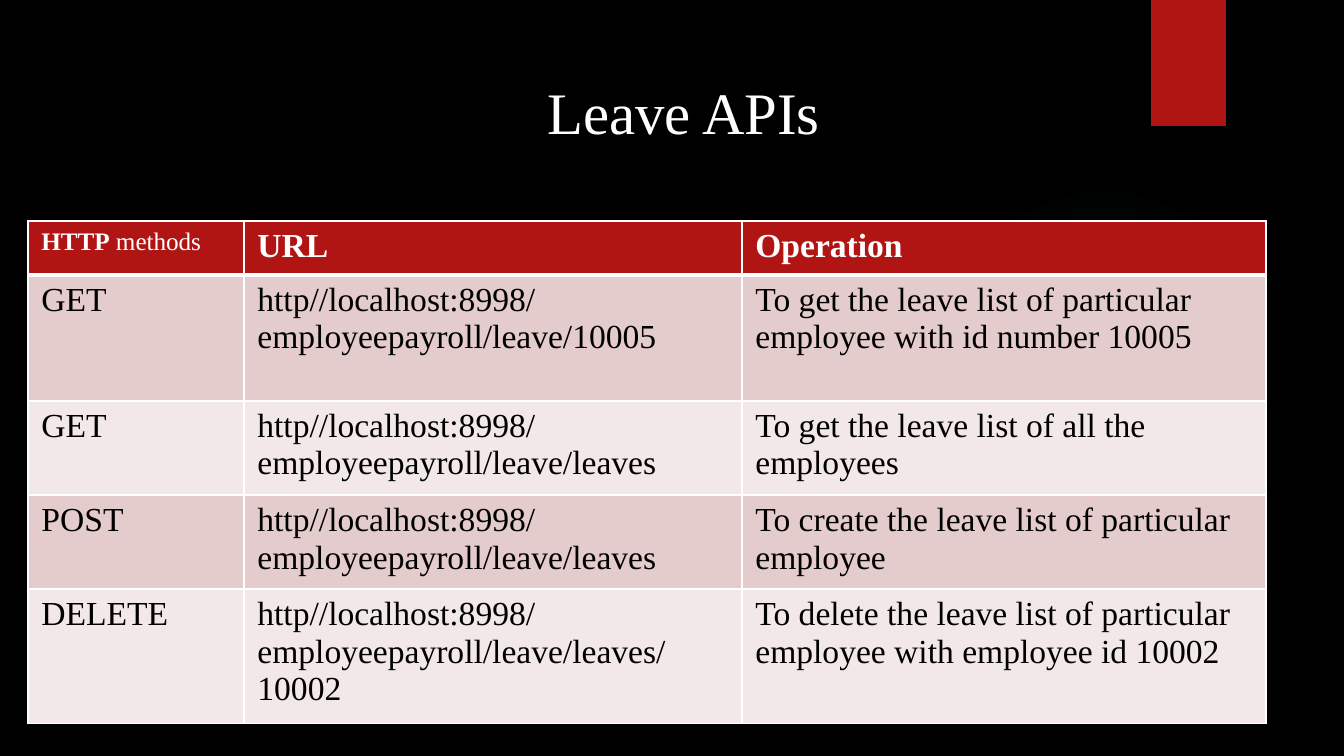
from dataclasses import dataclass

import pptx
import pptx.dml.color
import pptx.enum.shapes
import pptx.enum.text
import pptx.oxml
import pptx.oxml.ns
import pptx.util

EMU_PER_PX = 914400 / 134.4
NAMESPACE = pptx.oxml.ns.nsdecls("a")


@dataclass(frozen=True)
class Theme:
    font: str = "Times New Roman"
    background: str = "000000"
    accent: str = "B01513"
    glow: str = "50B9C1"
    light: str = "FFFFFF"
    dark: str = "000000"
    bands: tuple = ("E4CCCC", "F2E8E7")
    title_size: float = 31.5
    body_size: float = 18
    small_size: float = 13.5
    border: int = 1
    header_border: int = 3


def px(length):
    return pptx.util.Emu(round(length * EMU_PER_PX))


def rgb(value):
    return pptx.dml.color.RGBColor.from_string(value)


class SlideBuilder:
    def __init__(self, slide, theme):
        self.slide = slide
        self.theme = theme

    def background(self):
        fill = self.slide.background.fill
        fill.solid()
        fill.fore_color.rgb = rgb(self.theme.background)

    def style_run(self, run, size, color, bold=False):
        run.font.name = self.theme.font
        run.font.size = pptx.util.Pt(size)
        run.font.color.rgb = rgb(color)
        run.font.bold = bold

    def preset(self, kind, left, top, width, height):
        shape = self.slide.shapes.add_shape(kind, px(left), px(top), px(width), px(height))
        shape.shadow.inherit = False
        shape.line.fill.background()
        return shape

    def rectangle(self, *box):
        shape = self.preset(pptx.enum.shapes.MSO_SHAPE.RECTANGLE, *box)
        shape.fill.solid()
        shape.fill.fore_color.rgb = rgb(self.theme.accent)

    def glow(self, *box):
        """Add a faint circle that fades out from its centre."""
        shape = self.preset(pptx.enum.shapes.MSO_SHAPE.OVAL, *box)
        stops = "".join(
            f'<a:gs pos="{position * 1000}"><a:srgbClr val="{self.theme.glow}">'
            f'<a:alpha val="{alpha * 1000}"/></a:srgbClr></a:gs>'
            for position, alpha in ((0, 7), (36, 6), (69, 0), (100, 0))
        )
        gradient = pptx.oxml.parse_xml(
            f'<a:gradFill {NAMESPACE}><a:gsLst>{stops}</a:gsLst><a:path path="circle">'
            '<a:fillToRect l="50000" t="50000" r="50000" b="50000"/></a:path></a:gradFill>'
        )
        shape.element.spPr.find(pptx.oxml.ns.qn("a:prstGeom")).addnext(gradient)

    def title(self, text, left, top, width, height):
        shape = self.slide.shapes.add_textbox(px(left), px(top), px(width), px(height))
        text_frame = shape.text_frame
        text_frame.word_wrap = True
        text_frame.margin_top = text_frame.margin_bottom = 0
        text_frame.vertical_anchor = pptx.enum.text.MSO_ANCHOR.BOTTOM
        text_frame.text = text
        paragraph = text_frame.paragraphs[0]
        paragraph.alignment = pptx.enum.text.PP_ALIGN.CENTER
        self.style_run(paragraph.runs[0], self.theme.title_size, self.theme.light)

    def cell_borders(self, cell, top, bottom):
        properties = cell._tc.get_or_add_tcPr()
        side = self.theme.border
        for tag, points in (("lnL", side), ("lnR", side), ("lnT", top), ("lnB", bottom)):
            properties.append(pptx.oxml.parse_xml(
                f'<a:{tag} {NAMESPACE} w="{pptx.util.Pt(points)}"><a:solidFill>'
                f'<a:srgbClr val="{self.theme.light}"/></a:solidFill></a:{tag}>'
            ))

    def table(self, rows, left, top, widths, heights):
        theme = self.theme
        table = self.slide.shapes.add_table(
            len(rows), len(widths), px(left), px(top), px(sum(widths)), px(sum(heights))
        ).table
        for column, width in zip(table.columns, widths):
            column.width = px(width)
        for row, height in zip(table.rows, heights):
            row.height = px(height)
        for row_index, values in enumerate(rows):
            header = row_index == 0
            fill = theme.accent if header else theme.bands[(row_index - 1) % 2]
            color = theme.light if header else theme.dark
            top_border = theme.header_border if row_index == 1 else theme.border
            bottom_border = theme.header_border if header else theme.border
            for column_index, value in enumerate(values):
                cell = table.cell(row_index, column_index)
                self.cell_borders(cell, top_border, bottom_border)
                cell.fill.solid()
                cell.fill.fore_color.rgb = rgb(fill)
                cell.text_frame.text = value
                run = cell.text_frame.paragraphs[0].runs[0]
                self.style_run(run, theme.body_size, color, header)
        return table

    def small_label(self, cell, bold_text, plain_text):
        """Set a header cell in small type with a bold first part."""
        cell.text_frame.text = bold_text
        paragraph = cell.text_frame.paragraphs[0]
        paragraph.add_run().text = plain_text
        for run, bold in zip(paragraph.runs, (True, False)):
            self.style_run(run, self.theme.small_size, self.theme.light, bold)


def main():
    presentation = pptx.Presentation()
    presentation.slide_width = px(1344)
    presentation.slide_height = px(756)
    slide = presentation.slides.add_slide(presentation.slide_layouts[6])
    builder = SlideBuilder(slide, Theme())

    builder.background()
    builder.glow(949, 185, 310, 310)
    builder.rectangle(1151, 0, 75, 126)
    builder.title("Leave APIs", 88, 62, 1191, 84)

    base_url = "http//localhost:8998/employeepayroll/leave/"
    rows = [
        ("HTTP", "URL", "Operation"),
        ("GET", base_url + "10005",
         "To get the leave list of particular employee with id number 10005"),
        ("GET", base_url + "leaves", "To get the leave list of all the employees"),
        ("POST", base_url + "leaves", "To create the leave list of particular employee"),
        ("DELETE", base_url + "leaves/10002",
         "To delete the leave list of particular employee with employee id 10002"),
    ]
    table = builder.table(rows, 28, 221, (216, 498, 524), (54, 126, 87, 88, 125))
    builder.small_label(table.cell(0, 0), "HTTP", " methods")

    presentation.save("out.pptx")


if __name__ == "__main__":
    main()
